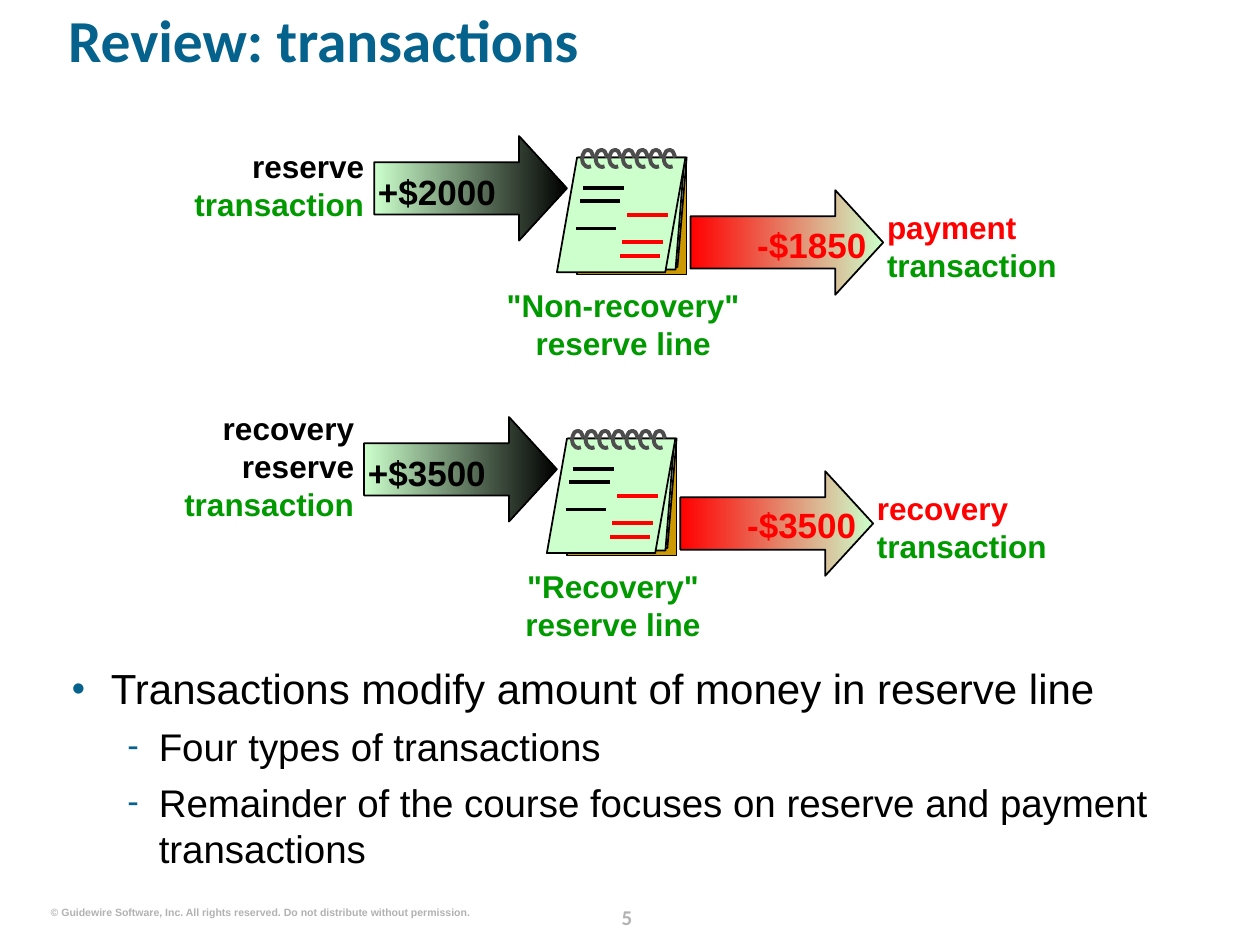
import pptx
import pptx.util
import pptx.dml.color
import pptx.enum.shapes
import pptx.enum.text
import pptx.oxml.ns
import lxml.etree

Inches = pptx.util.Inches
Pt = pptx.util.Pt
RGBColor = pptx.dml.color.RGBColor
SHAPE = pptx.enum.shapes.MSO_SHAPE
ALIGN = pptx.enum.text.PP_ALIGN
qn = pptx.oxml.ns.qn

BLACK = RGBColor(0x00, 0x00, 0x00)
RED = RGBColor(0xFF, 0x00, 0x00)
GREEN = RGBColor(0x00, 0x99, 0x00)
MINT = RGBColor(0xCC, 0xFF, 0xCC)
GOLD = RGBColor(0xCC, 0x99, 0x00)
COIL_GRAY = RGBColor(0x4D, 0x4D, 0x4D)
FOOTER_GRAY = RGBColor(0xB2, 0xB2, 0xB2)
BLUE = RGBColor(0x04, 0x62, 0x8C)

TITLE = "Review: transactions"
BULLETS = [
    (0, "Transactions modify amount of money in reserve line"),
    (1, "Four types of transactions"),
    (1, "Remainder of the course focuses on reserve and payment transactions"),
]
BULLET_STYLES = [
    {"char": "•", "size": 24, "margin": 0.31, "hang": 0.31, "before": 0},
    {"char": "-", "size": 22, "margin": 0.69, "hang": 0.25, "before": 5.5},
]
COPYRIGHT = ("© Guidewire Software, Inc. All rights reserved. "
             "Do not distribute without permission.")
PAGE_NUMBER = "5"

RESERVE_LINES = [
    {"origin": (4.42, 1.19),
     "incoming": ["reserve", "transaction"], "added": "+$2000",
     "outgoing": ["payment", "transaction"], "paid": "-$1850",
     "caption": ['"Non-recovery"', "reserve line"]},
    {"origin": (4.34, 3.42),
     "incoming": ["recovery", "reserve", "transaction"], "added": "+$3500",
     "outgoing": ["recovery", "transaction"], "paid": "-$3500",
     "caption": ['"Recovery"', "reserve line"]},
]

SHEETS = [
    (SHAPE.RECTANGLE, 0.16, 0.06, 0.87, 0.93, None, GOLD),
    (SHAPE.PARALLELOGRAM, 0.10, 0.06, 0.93, 0.87, 0.084, MINT),
    (SHAPE.PARALLELOGRAM, 0.12, 0.09, 0.89, 0.86, 0.08, MINT),
    (SHAPE.PARALLELOGRAM, 0, 0.06, 1.02, 0.91, 0.176, MINT),
]
COIL = [(0.09, 0.06), (0.08, 0.03), (0.07, 0.01), (0.05, 0), (0.035, 0.003),
        (0.02, 0.01), (0.005, 0.04), (0, 0.07), (0.003, 0.09), (0.01, 0.11),
        (0.03, 0.13), (0.05, 0.135), (0.07, 0.13)]
COIL_COUNT, COIL_LEFT = 7, 0.20
ENTRIES = [(0.21, BLACK), (0.18, BLACK), (0.56, RED),
           (0.15, BLACK), (0.52, RED), (0.50, RED)]
ENTRY_TOP, ENTRY_LENGTH = 0.30, 0.32
STEP = 0.108
LINE_HEIGHT = 0.30


def place(x, y, width, height):
    return Inches(x), Inches(y), Inches(width), Inches(height)


def clear_insets(frame):
    frame.margin_left = frame.margin_right = 0
    frame.margin_top = frame.margin_bottom = 0
    frame.vertical_anchor = pptx.enum.text.MSO_ANCHOR.TOP
    frame.auto_size = pptx.enum.text.MSO_AUTO_SIZE.NONE
    frame.word_wrap = True


def style(span, size, color, bold=True, font="Arial"):
    span.font.name = font
    span.font.size = Pt(size)
    span.font.bold = bold
    span.font.color.rgb = color


def add_text(shapes, area, lines, colors, size, align=ALIGN.LEFT, font="Arial"):
    box = shapes.add_textbox(*place(*area))
    clear_insets(box.text_frame)
    para = box.text_frame.paragraphs[0]
    para.text = "\v".join(lines)
    para.alignment = align
    for span, color in zip(para.runs, colors):
        style(span, size, color, font=font)
    return box


def add_arrow(shapes, x, y, start, end):
    arrow = shapes.add_shape(SHAPE.RIGHT_ARROW, *place(x, y, 1.53, 0.83))
    arrow.shadow.inherit = False
    arrow.adjustments[0], arrow.adjustments[1] = 0.5, 0.458
    arrow.fill.gradient()
    arrow.fill.gradient_angle = 0
    for stop, position, color in zip(arrow.fill.gradient_stops, (0, 1), (start, end)):
        stop.position = position
        stop.color.rgb = color
    arrow.line.color.rgb = BLACK
    arrow.line.width = Pt(1)


def add_notepad(page, x, y):
    shapes = page.shapes.add_group_shape().shapes
    for kind, left, top, width, height, slant, color in SHEETS:
        sheet = shapes.add_shape(kind, *place(x + left, y + top, width, height))
        sheet.shadow.inherit = False
        if slant is not None:
            sheet.adjustments[0] = slant
        sheet.fill.solid()
        sheet.fill.fore_color.rgb = color
        sheet.line.color.rgb = BLACK
        sheet.line.width = Pt(1)
    for index in range(COIL_COUNT):
        left = x + COIL_LEFT + index * STEP
        points = [(Inches(left + dx), Inches(y + dy)) for dx, dy in COIL]
        builder = shapes.build_freeform(*points[0])
        builder.add_line_segments(points[1:], close=False)
        coil = builder.convert_to_shape()
        coil.shadow.inherit = False
        coil.fill.background()
        coil.line.color.rgb = COIL_GRAY
        coil.line.width = Pt(2.25)
    for index, (left, color) in enumerate(ENTRIES):
        height = Inches(y + ENTRY_TOP + index * STEP)
        entry = shapes.add_connector(
            pptx.enum.shapes.MSO_CONNECTOR.STRAIGHT,
            Inches(x + left), height, Inches(x + left + ENTRY_LENGTH), height)
        entry.line.color.rgb = color
        entry.line.width = Pt(2.25)
        lxml.etree.SubElement(entry._element.spPr, qn("a:effectLst"))


def add_reserve_line(page, item):
    x, y = item["origin"]
    shapes = page.shapes
    add_arrow(shapes, x - 1.45, y - 0.11, MINT, BLACK)
    add_text(shapes, (x - 1.42, y + 0.16, 1.54, 0.33), [item["added"]], [BLACK], 20)
    incoming = item["incoming"]
    height = LINE_HEIGHT * len(incoming)
    add_text(shapes, (x - 3.12, y + 0.28 - height / 2, 1.59, height), incoming,
             [BLACK] * (len(incoming) - 1) + [GREEN], 18, ALIGN.RIGHT)
    add_text(shapes, (x + 2.62, y + 0.46, 1.83, 0.6), item["outgoing"], [RED, GREEN], 18)
    add_arrow(shapes, x + 1.06, y + 0.32, RED, MINT)
    paid = add_text(shapes, (x + 1.09, y + 0.58, 1.54, 0.33), [item["paid"]], [RED], 20)
    paid.text_frame.paragraphs[0]._p.get_or_add_pPr().set("marL", str(Inches(0.5)))
    add_notepad(page, x, y)
    add_text(shapes, (x - 0.63, y + 1.08, 2.31, 0.6), item["caption"],
             [GREEN, GREEN], 18, ALIGN.CENTER)


def add_bullet(para, look):
    props = para._p.get_or_add_pPr()
    props.set("marL", str(Inches(look["margin"])))
    props.set("indent", str(-Inches(look["hang"])))
    color = lxml.etree.SubElement(props, qn("a:buClr"))
    lxml.etree.SubElement(color, qn("a:srgbClr"), val=str(BLUE))
    lxml.etree.SubElement(props, qn("a:buSzPct"), val="90000")
    lxml.etree.SubElement(props, qn("a:buFont"), typeface="Arial")
    lxml.etree.SubElement(props, qn("a:buChar"), char=look["char"])


def fill_placeholder(holder, area, text):
    holder.left, holder.top, holder.width, holder.height = place(*area)
    clear_insets(holder.text_frame)
    holder.text_frame.text = text
    return holder.text_frame.paragraphs


def main():
    deck = pptx.Presentation()
    deck.slide_width, deck.slide_height = Inches(10), Inches(7.5)
    page = deck.slides.add_slide(deck.slide_layouts[1])

    heading = fill_placeholder(page.shapes.title, (0.54, 0.13, 9.1, 0.81), TITLE)[0]
    heading.alignment = ALIGN.LEFT
    heading.line_spacing = 0.8
    style(heading.runs[0], 34, BLUE, font="Calibri")

    paras = fill_placeholder(page.placeholders[1], (0.57, 5.26, 9.1, 1.73),
                             "\n".join(text for level, text in BULLETS))
    for para, (level, text) in zip(paras, BULLETS):
        look = BULLET_STYLES[level]
        para.level = level
        add_bullet(para, look)
        para.space_before = Pt(look["before"])
        style(para.runs[0], look["size"], BLACK, bold=False)

    for item in RESERVE_LINES:
        add_reserve_line(page, item)

    footer = add_text(page.shapes, (0.4, 7.19, 3.33, 0.1), [COPYRIGHT],
                      [FOOTER_GRAY], 6, ALIGN.RIGHT)
    footer.text_frame.word_wrap = False
    number = add_text(page.shapes, (4.69, 7.13, 0.57, 0.25), [PAGE_NUMBER],
                      [FOOTER_GRAY], 12, ALIGN.CENTER, "Calibri")
    number.text_frame.paragraphs[0].line_spacing = Pt(18)
    deck.save("out.pptx")


if __name__ == "__main__":
    main()
